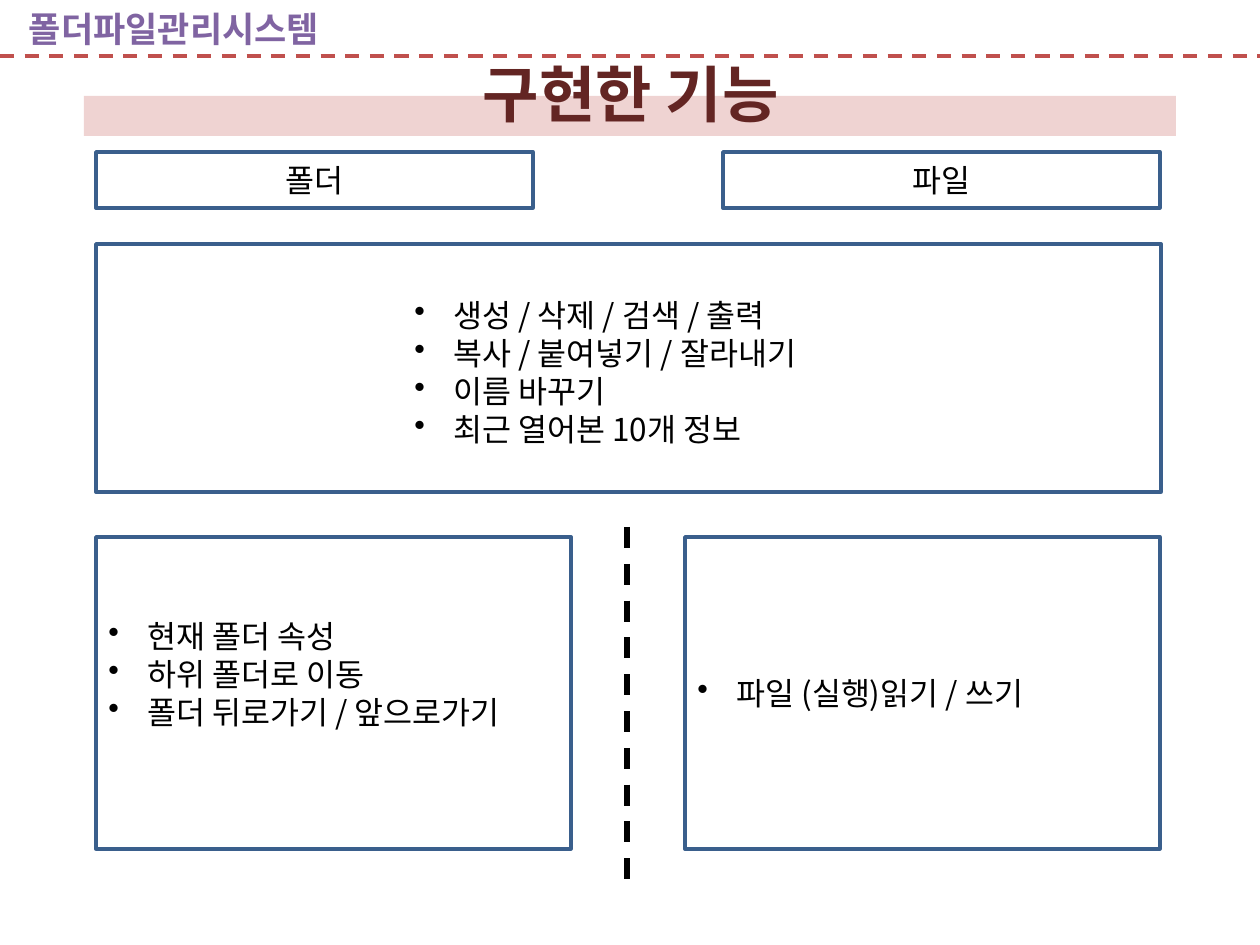
from lxml.etree import SubElement
from pptx import Presentation
from pptx.dml.color import RGBColor
from pptx.enum.dml import MSO_LINE
from pptx.enum.shapes import MSO_CONNECTOR, MSO_SHAPE
from pptx.enum.text import MSO_ANCHOR, MSO_AUTO_SIZE, PP_ALIGN
from pptx.oxml.ns import qn
from pptx.util import Emu, Pt

PIXEL = 914400 // 126
FONT = "Noto Sans CJK KR"
COLORS = {
    "band": "D99694", "title": "632523", "rule": "C0504D", "system": "8064A2",
    "border": "3A5F8C", "text": "000000", "white": "FFFFFF",
}
INDENT = 39


def px(value):
    return Emu(round(value * PIXEL))


def color(name):
    return RGBColor.from_string(COLORS[name])


def write(shape, lines, size=18, tint="text", bold=False, bullets=False):
    frame = shape.text_frame
    frame.word_wrap = True
    frame.auto_size = MSO_AUTO_SIZE.NONE
    frame.vertical_anchor = MSO_ANCHOR.MIDDLE
    frame.text = "\n".join(lines)
    for para in frame.paragraphs:
        para.alignment = PP_ALIGN.LEFT if bullets else PP_ALIGN.CENTER
        font = para.font
        font.size, font.bold = Pt(size), bold
        font.color.rgb = color(tint)
        font.name = FONT
        props = para._p.get_or_add_pPr()
        # Korean glyphs take the East Asian typeface
        east_asian = SubElement(props.find(qn("a:defRPr")), qn("a:ea"))
        east_asian.set("typeface", FONT)
        if bullets:
            props.set("marL", str(px(INDENT)))
            props.set("indent", str(-px(INDENT)))
            marker = props.makeelement(qn("a:buChar"), {"char": "•"})
            props.find(qn("a:defRPr")).addprevious(marker)


def add_box(page, left, top, width, height, fill=None, border="border"):
    box = page.shapes.add_shape(
        MSO_SHAPE.RECTANGLE, px(left), px(top), px(width), px(height))
    box.shadow.inherit = False
    if fill:
        box.fill.solid()
        box.fill.fore_color.rgb = color(fill)
    else:
        box.fill.background()
    if border:
        box.line.color.rgb = color(border)
        box.line.width = Pt(2)
    else:
        box.line.fill.background()
    return box


def add_text(page, left, top, width, height, lines, **style):
    box = page.shapes.add_textbox(px(left), px(top), px(width), px(height))
    write(box, lines, **style)


def add_dashes(page, start, end, tint, width):
    line = page.shapes.add_connector(
        MSO_CONNECTOR.STRAIGHT, *(px(value) for value in (*start, *end)))
    line.line.color.rgb = color(tint)
    line.line.width = Pt(width)
    line.line.dash_style = MSO_LINE.DASH
    SubElement(line._element.spPr, qn("a:effectLst"))


def add_title(page, text):
    title = page.shapes.title
    title.left, title.top = px(64), px(26)
    title.width, title.height = px(1134), px(134)
    write(title, [text], size=35, tint="title", bold=True)
    # Translucent band behind the title
    band = add_box(page, 84, 96, 1092, 40, fill="band", border=None)
    fill_color = band._element.spPr.find(qn("a:solidFill"))[0]
    SubElement(fill_color, qn("a:alpha")).set("val", "41000")
    title._element.addprevious(band._element)


def main():
    deck = Presentation()
    deck.slide_width, deck.slide_height = px(1260), px(945)
    page = deck.slides.add_slide(deck.slide_layouts[5])

    # Header
    add_title(page, "구현한 기능")
    add_dashes(page, (0, 56), (1265, 56), "rule", 2)
    add_text(page, 0, 0, 348, 56, ["폴더파일관리시스템"],
             size=20, tint="system", bold=True)

    # Column headings
    for left, heading in ((96, "폴더"), (723, "파일")):
        write(add_box(page, left, 152, 437, 56), [heading])

    # Shared features
    add_box(page, 96, 244, 1065, 248, fill="white")
    add_text(page, 402, 248, 759, 248, [
        "생성 / 삭제 / 검색 / 출력",
        "복사 / 붙여넣기 / 잘라내기",
        "이름 바꾸기",
        "최근 열어본 10개 정보",
    ], bullets=True)

    # Features of each kind, either side of a divider
    add_dashes(page, (627, 527), (627, 880), "text", 3)
    features = (
        (96, 44, ["현재 폴더 속성", "하위 폴더로 이동", "폴더 뒤로가기 / 앞으로가기"]),
        (685, 6, ["파일 (실행)읽기 / 쓰기"]),
    )
    for left, bottom_margin, lines in features:
        box = add_box(page, left, 537, 475, 312, fill="white")
        write(box, lines, bullets=True)
        box.text_frame.margin_bottom = px(bottom_margin)

    deck.save("out.pptx")


main()
